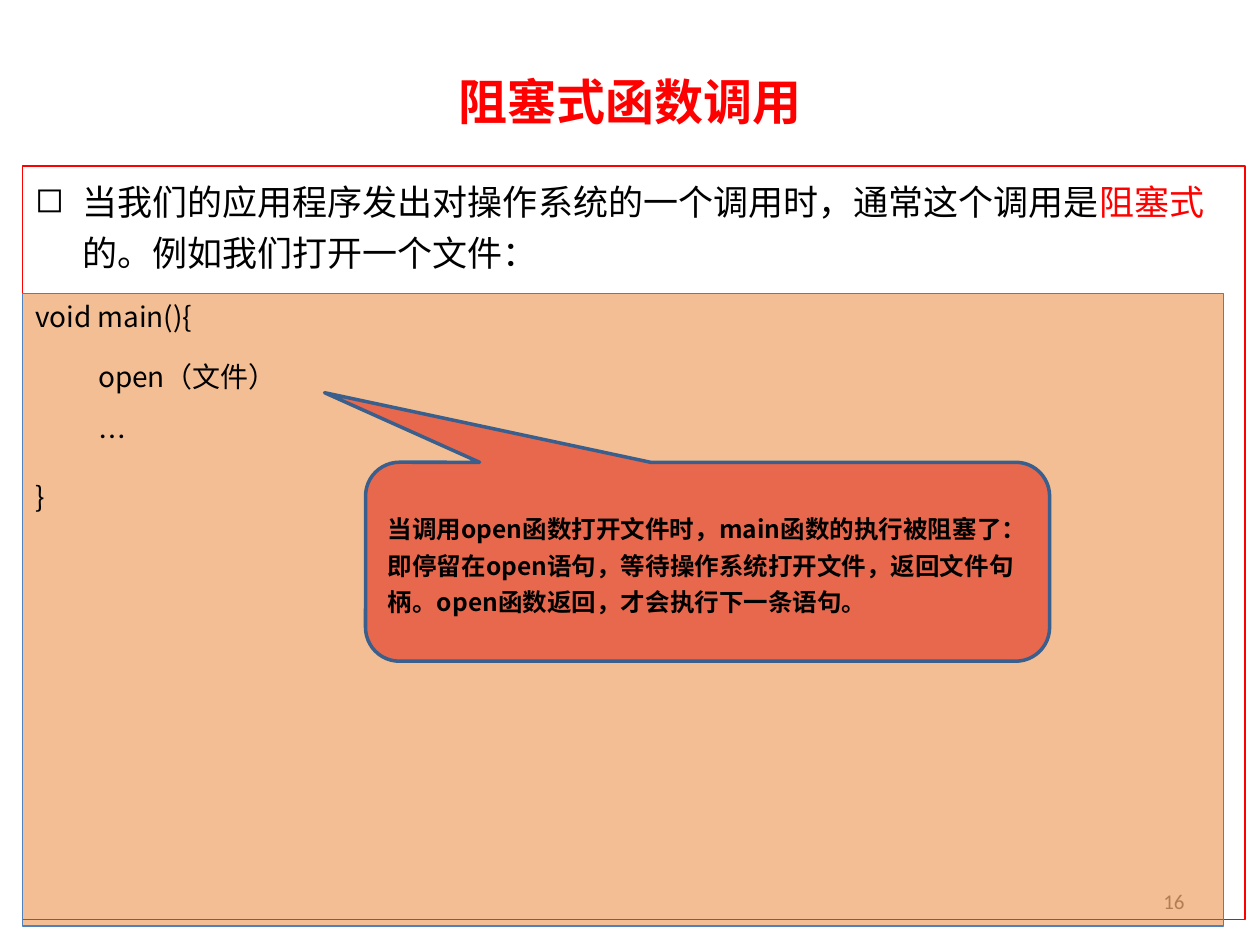
"""Build a slide explaining blocking function calls."""
from dataclasses import dataclass
from typing import Optional

from lxml.etree import SubElement
from pptx import Presentation
from pptx.dml.color import RGBColor
from pptx.enum.shapes import MSO_SHAPE
from pptx.enum.text import MSO_ANCHOR, PP_ALIGN
from pptx.oxml.ns import qn
from pptx.util import Cm, Pt

RED = RGBColor(0xFF, 0x00, 0x00)
BLACK = RGBColor(0x00, 0x00, 0x00)
GREY = RGBColor(0x8C, 0x8C, 0x8C)
ORANGE = RGBColor(0xE4, 0x6C, 0x0A)
BLUE = RGBColor(0x4F, 0x81, 0xBD)
CORAL = RGBColor(0xE8, 0x68, 0x4E)
NAVY = RGBColor(0x3A, 0x5F, 0x8C)
SANS = "Noto Sans CJK SC"
PLAIN = "Noto Sans CJK JP"


@dataclass
class Box:
    """Hold the place, look and text of one box."""
    left: float
    top: float
    width: float
    height: float
    lines: list[list[tuple[str, RGBColor]]]
    size: float
    font: str = PLAIN
    bold: bool = False
    align: PP_ALIGN = PP_ALIGN.LEFT
    anchor: MSO_ANCHOR = MSO_ANCHOR.TOP
    space: float = 1.0
    gap: float = 0
    bullet: str = ""
    kind: Optional[MSO_SHAPE] = None
    adjust: tuple[float, ...] = ()
    fill: Optional[RGBColor] = None
    alpha: int = 100
    line: Optional[RGBColor] = None
    weight: float = 0.75


def paint(shape, box: Box) -> None:
    """Set the outline, fill and adjustments of a shape."""
    shape.shadow.inherit = False
    for i, value in enumerate(box.adjust):
        shape.adjustments[i] = value
    shape.line.color.rgb = box.line
    shape.line.width = Pt(box.weight)
    if box.fill is None:
        shape.fill.background()
        return
    shape.fill.solid()
    shape.fill.fore_color.rgb = box.fill
    if box.alpha < 100:
        color = shape.fill._xPr.find(qn("a:solidFill"))[0]
        SubElement(color, qn("a:alpha"), val=str(box.alpha * 1000))


def mark(para, sign: str) -> None:
    """Give a paragraph a bullet with a hanging indent."""
    props = para._p.get_or_add_pPr()
    props.set("marL", str(Cm(0.95)))
    props.set("indent", str(-Cm(0.95)))
    SubElement(props, qn("a:buChar"), char=sign)


def write(frame, box: Box) -> None:
    """Fill a text frame with the styled lines of a box."""
    frame.word_wrap = True
    frame.vertical_anchor = box.anchor
    for i, line in enumerate(box.lines):
        para = frame.add_paragraph() if i else frame.paragraphs[0]
        if box.bullet:
            mark(para, box.bullet)
        para.alignment = box.align
        para.line_spacing = box.space
        if i:
            para.space_before = Pt(box.gap)
        for text, color in line:
            run = para.add_run()
            run.text = text
            run.font.size = Pt(box.size)
            run.font.bold = box.bold
            run.font.name = box.font
            run.font.color.rgb = color
            SubElement(run.font._element, qn("a:ea"), typeface=box.font)


def draw(slide, box: Box) -> None:
    """Add one box to the slide."""
    place = [Cm(n) for n in (box.left, box.top, box.width, box.height)]
    if box.kind is None:
        shape = slide.shapes.add_textbox(*place)
    else:
        shape = slide.shapes.add_shape(box.kind, *place)
        paint(shape, box)
    write(shape.text_frame, box)


CODE = ("void main(){", "\topen（文件）", "\t…", "}")
NOTE = ("当调用open函数打开文件时，main函数的执行被阻塞了：即停留在open语句，"
        "等待操作系统打开文件，返回文件句柄。open函数返回，才会执行下一条语句。")

TITLE = Box(1.27, 0.76, 22.86, 2.57, [[("阻塞式函数调用", RED)]], 28, SANS, True,
            PP_ALIGN.CENTER, MSO_ANCHOR.MIDDLE)
BODY = Box(0.46, 3.35, 24.64, 15.19,
           [[("当我们的应用程序发出对操作系统的一个调用时，通常这个调用是", BLACK),
             ("阻塞式", RED), ("的。例如我们打开一个文件：", BLACK)]],
           20, space=1.2, bullet="◻", kind=MSO_SHAPE.RECTANGLE, line=RED)
PAGE = Box(18.21, 17.65, 5.92, 1.02, [[("16", GREY)]], 12, "Calibri",
           align=PP_ALIGN.RIGHT, anchor=MSO_ANCHOR.MIDDLE)
PANEL = Box(0.46, 5.92, 24.21, 12.75, [[(text, BLACK)] for text in CODE], 16,
            gap=15, kind=MSO_SHAPE.RECTANGLE, fill=ORANGE, alpha=44, line=BLUE)
CALL = Box(7.37, 9.32, 13.79, 4.01, [[(NOTE, BLACK)]], 14, SANS, True,
           anchor=MSO_ANCHOR.MIDDLE, space=1.25,
           kind=MSO_SHAPE.ROUNDED_RECTANGULAR_CALLOUT,
           adjust=(-0.56, -0.85, 0.17), fill=CORAL, line=NAVY, weight=2)


def main() -> None:
    """Draw the boxes from back to front and save the deck."""
    deck = Presentation()
    deck.slide_width, deck.slide_height = Cm(25.4), Cm(19.05)
    slide = deck.slides.add_slide(deck.slide_layouts[6])
    for box in (TITLE, BODY, PAGE, PANEL, CALL):
        draw(slide, box)
    deck.save("out.pptx")


if __name__ == "__main__":
    main()
